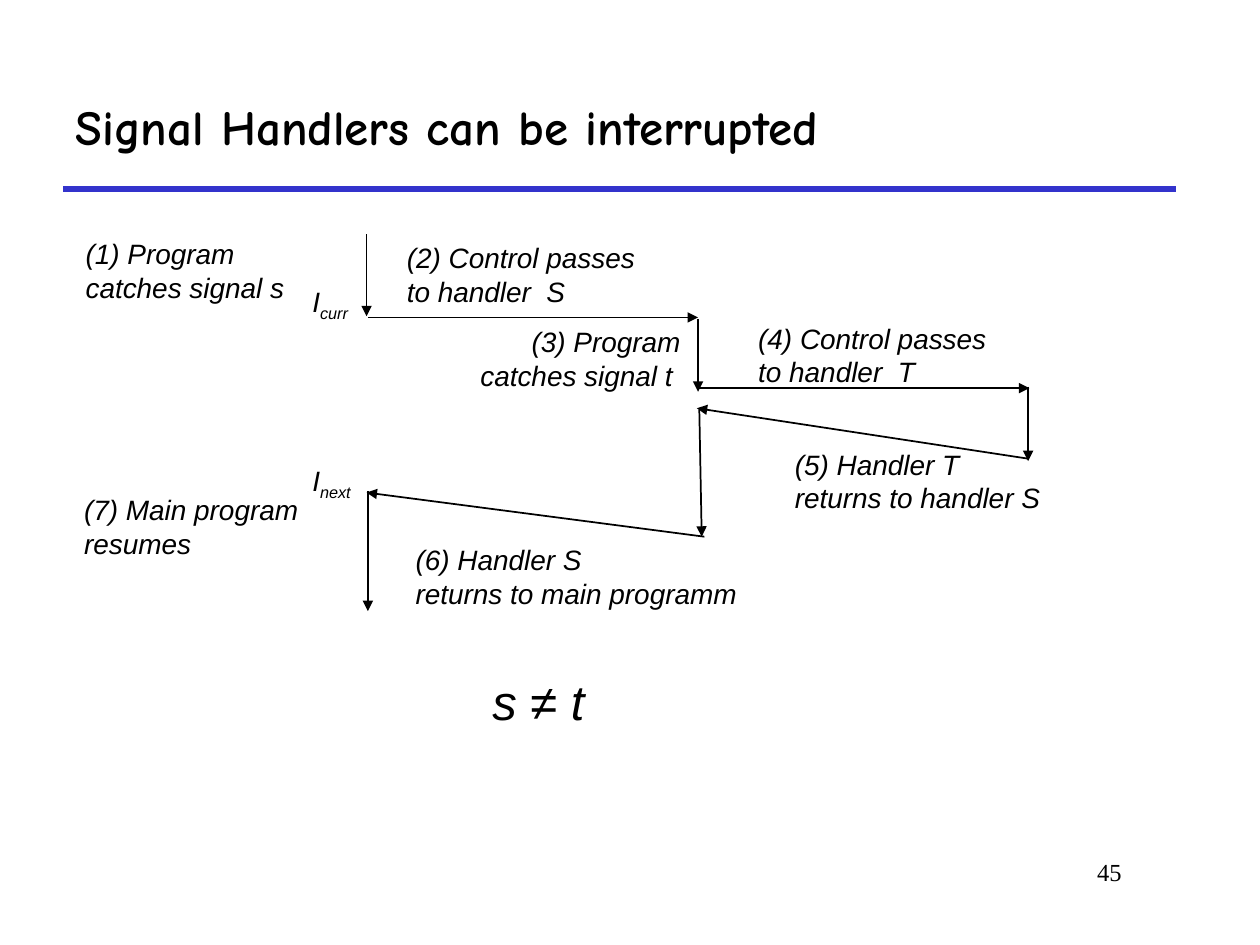
import pptx
import pptx.dml.color
import pptx.enum.shapes
import pptx.enum.text
import pptx.oxml.ns
import pptx.util
import lxml.etree

BLACK = pptx.dml.color.RGBColor(0x00, 0x00, 0x00)
BLUE = pptx.dml.color.RGBColor(0x33, 0x33, 0xCC)
LEFT = pptx.enum.text.PP_ALIGN.LEFT
RIGHT = pptx.enum.text.PP_ALIGN.RIGHT
TOP = pptx.enum.text.MSO_ANCHOR.TOP
MIDDLE = pptx.enum.text.MSO_ANCHOR.MIDDLE

ARROWS = [
    ((209.5, 133.9), (209.5, 180.7)),
    ((210.2, 181.4), (398.9, 181.4)),
    ((398.9, 182.2), (398.9, 223.9)),
    ((398.9, 221.8), (588.2, 221.8)),
    ((587.5, 221.0), (587.5, 263.5)),
    ((587.5, 262.1), (398.2, 233.3)),
    ((399.6, 234.0), (401.0, 306.7)),
    ((402.5, 306.7), (209.5, 281.5)),
    ((210.2, 280.8), (210.2, 349.2)),
]

WRAPPED_STEPS = [
    ((41.8, 131.8, 128.2, 45.4), "(1) Program catches signal s", LEFT),
    ((240.5, 182.2, 155.5, 45.4), "(3) Program catches signal t ", RIGHT),
    ((41.0, 277.9, 143.3, 45.4), "(7) Main program resumes", LEFT),
]

TWO_LINE_STEPS = [
    ((225.4, 133.9, 149.0, 45.4), "(2) Control passes", "to handler  S"),
    ((426.2, 180.0, 149.0, 45.4), "(4) Control passes", "to handler  T"),
    ((447.1, 252.0, 159.1, 45.4), "(5) Handler T", "returns to handler S"),
    ((230.4, 306.7, 202.3, 45.4), "(6) Handler S", "returns to main programm"),
]

INSTRUCTIONS = [
    ((171.4, 159.1, 40, 29.5), "curr"),
    ((171.4, 261.4, 40, 29.5), "next"),
]


def add_line(s, start, end, color=BLACK, width=1, arrow=True):
    """Draw a straight line, with a triangle head at its end if wanted."""
    points = [pptx.util.Pt(v) for v in (*start, *end)]
    sp = s.shapes.add_connector(pptx.enum.shapes.MSO_CONNECTOR.STRAIGHT, *points)
    sp.line.color.rgb = color
    sp.line.width = pptx.util.Pt(width)
    if arrow:
        ln = sp.line._get_or_add_ln()
        lxml.etree.SubElement(ln, pptx.oxml.ns.qn("a:tailEnd"), type="triangle")
    lxml.etree.SubElement(sp._element.spPr, pptx.oxml.ns.qn("a:effectLst"))


def add_run(p, text, size=16, font="Arial", bold=False, italic=True):
    """Append a black run to a paragraph and return it."""
    r = p.add_run()
    r.text = text
    r.font.name = font
    r.font.size = pptx.util.Pt(size)
    r.font.bold = bold
    r.font.italic = italic
    r.font.color.rgb = BLACK
    return r


def add_text(s, box, lines, align=LEFT, anchor=TOP, wrap=True, **style):
    """Add a text box with one paragraph per line and return its frame."""
    sp = s.shapes.add_textbox(*(pptx.util.Pt(v) for v in box))
    tf = sp.text_frame
    tf.word_wrap = wrap
    tf.vertical_anchor = anchor
    for i, line in enumerate(lines):
        p = tf.add_paragraph() if i else tf.paragraphs[0]
        p.alignment = align
        add_run(p, line, **style)
    return tf


def add_instruction(s, box, subscript):
    """Label an instruction I with its subscript."""
    tf = add_text(s, box, ["I"], wrap=False)
    r = add_run(tf.paragraphs[0], subscript)
    r._r.get_or_add_rPr().set("baseline", "-25000")


def main():
    """Build the slide and save it."""
    prs = pptx.Presentation()
    prs.slide_width = pptx.util.Pt(720)
    prs.slide_height = pptx.util.Pt(540)
    s = prs.slides.add_slide(prs.slide_layouts[6])
    add_line(s, (36, 108), (672, 108), BLUE, 3, arrow=False)
    add_text(s, (545.8, 486, 102.2, 36), ["45"], RIGHT,
             size=14, font="Times New Roman", italic=False)
    add_text(s, (36, 36, 636, 72), ["Signal Handlers can be interrupted"],
             anchor=MIDDLE, size=28, font="Comic Neue", bold=True, italic=False)
    for start, end in ARROWS:
        add_line(s, start, end)
    for box, text, align in WRAPPED_STEPS:
        add_text(s, box, [text], align)
    for box, *lines in TWO_LINE_STEPS:
        add_text(s, box, lines, wrap=False)
    for box, subscript in INSTRUCTIONS:
        add_instruction(s, box, subscript)
    add_text(s, (274.3, 380.2, 74.2, 40.3), ["s ≠ t"], size=28)
    prs.save("out.pptx")


if __name__ == "__main__":
    main()
